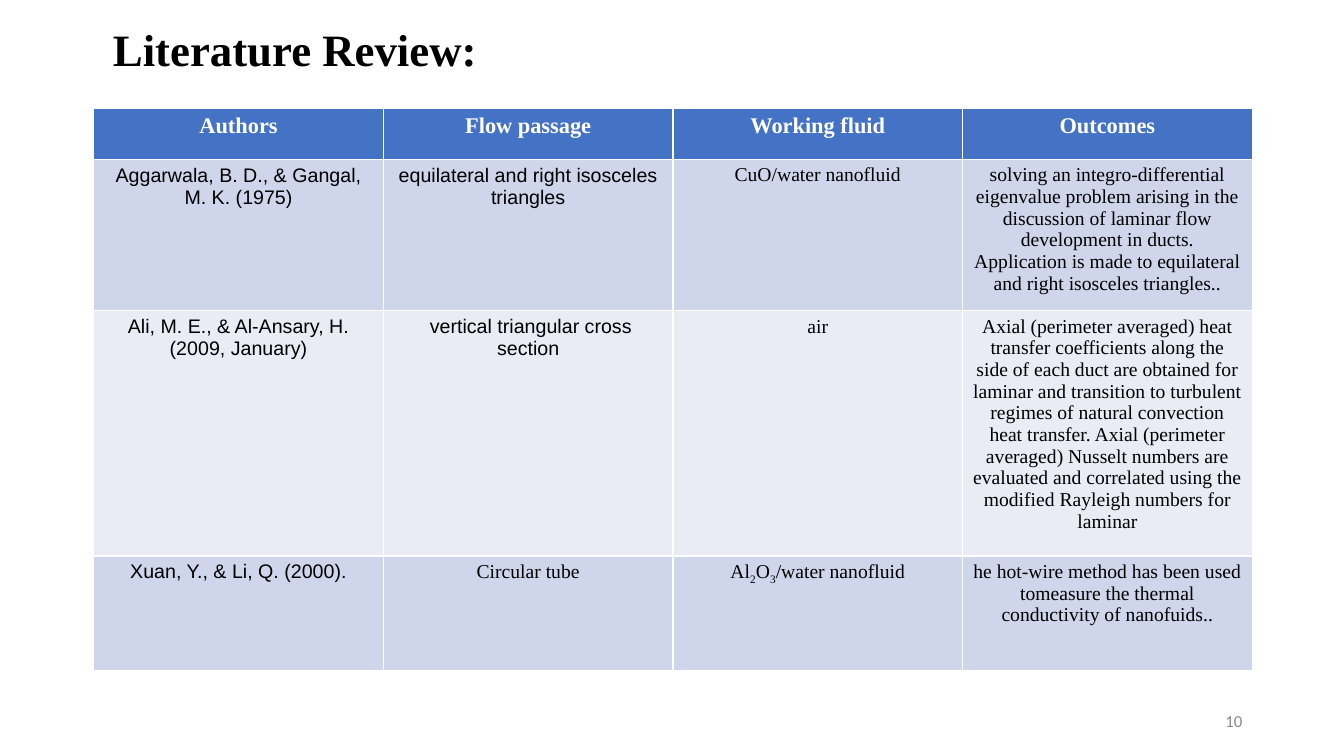
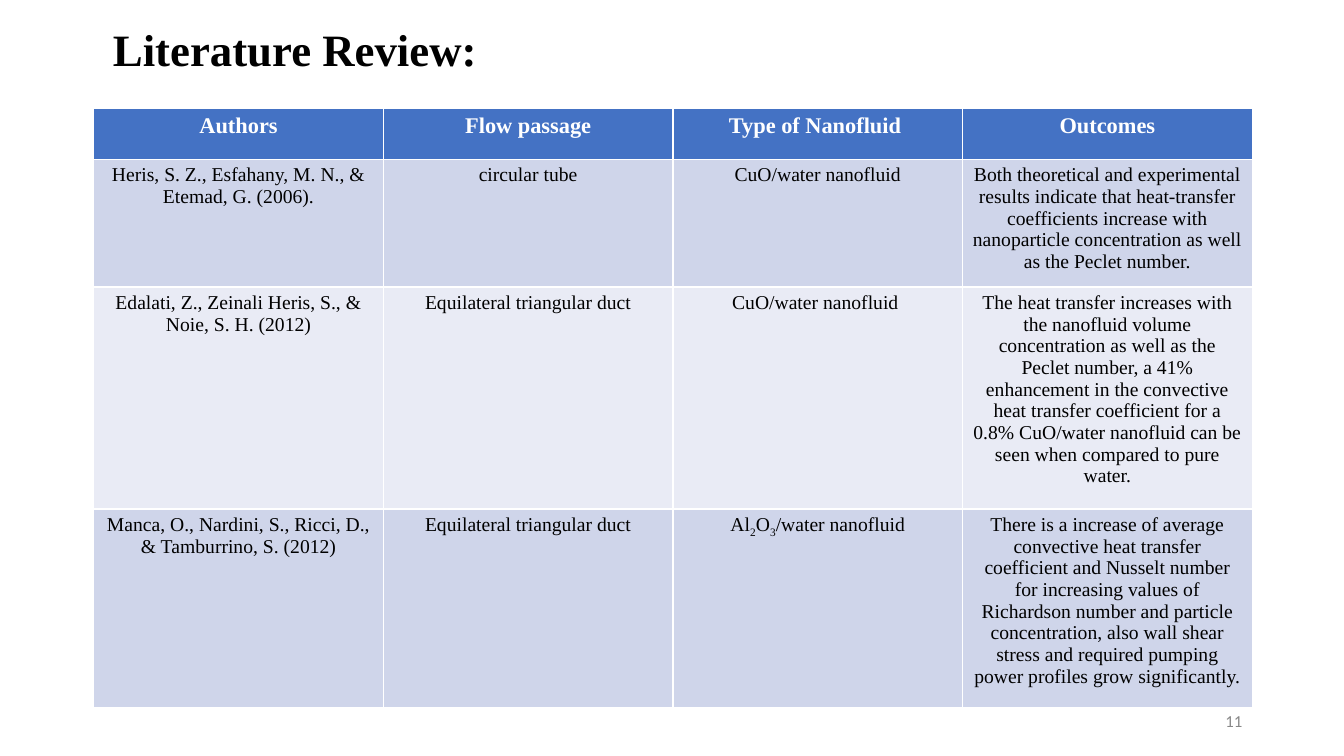
from pptx import Presentation
from pptx import util as u
from pptx.dml.color import RGBColor
from pptx.enum import text

WIDTH, HEIGHT = u.Inches(13.33), u.Inches(7.5)
SERIF, SANS = "Times New Roman", "Arial"
BLACK, WHITE, GRAY, BLUE = "000000", "FFFFFF", "888888", "4472C4"
BANDS = ["CFD5EA", "E9EBF5"]
COLUMNS = 4
HEADER_HEIGHT, ROW_HEIGHT = u.Inches(0.5), u.Inches(1.14)
ALUMINA = "Al_2_O_3_/water nanofluid"

# Each review: slide number, cells set in the sans font, table rows.
# Underscores enclose subscripts.
reviews = [
    (10, {(1, 0), (1, 1), (2, 0), (2, 1), (3, 0)}, [
        ["Authors", "Flow passage", "Working fluid", "Outcomes"],
        ["Aggarwala, B. D., & Gangal, M. K. (1975)",
         "equilateral and right isosceles triangles",
         "CuO/water nanofluid",
         "solving an integro-differential eigenvalue problem arising in the "
         "discussion of laminar flow development in ducts. Application is made "
         "to equilateral and right isosceles triangles.."],
        ["Ali, M. E., & Al-Ansary, H. (2009, January)",
         " vertical triangular cross section",
         "air",
         "Axial (perimeter averaged) heat transfer coefficients along the side "
         "of each duct are obtained for laminar and transition to turbulent "
         "regimes of natural convection heat transfer. Axial (perimeter "
         "averaged) Nusselt numbers are evaluated and correlated using the "
         "modified Rayleigh numbers for laminar"],
        ["Xuan, Y., & Li, Q. (2000).",
         "Circular tube",
         ALUMINA,
         "he hot-wire method has been used tomeasure the thermal conductivity "
         "of nanofuids.."],
    ]),
    (11, set(), [
        ["Authors", "Flow passage", "Type of Nanofluid ", "Outcomes"],
        ["Heris, S. Z., Esfahany, M. N., & Etemad, G. (2006).",
         "circular tube",
         "CuO/water nanofluid",
         "Both theoretical and experimental results indicate that heat-transfer "
         "coefficients increase with nanoparticle concentration as well as the "
         "Peclet number."],
        ["Edalati, Z., Zeinali Heris, S., & Noie, S. H. (2012)",
         "Equilateral triangular duct",
         "CuO/water nanofluid ",
         "The heat transfer increases with the nanofluid volume concentration "
         "as well as the Peclet number, a 41% enhancement in the convective "
         "heat transfer coefficient for a 0.8% CuO/water nanofluid can be seen "
         "when compared to pure water."],
        ["Manca, O., Nardini, S., Ricci, D., & Tamburrino, S. (2012)",
         "Equilateral triangular duct",
         ALUMINA,
         "There is a increase of average convective heat transfer coefficient "
         "and Nusselt number for increasing values of Richardson number and "
         "particle concentration, also wall shear stress and required pumping "
         "power profiles grow significantly."],
    ]),
]


def color(hex_string):
    return RGBColor.from_string(hex_string)


def write(paragraph, content, size, font_name, hex_string, alignment, bold=False):
    """Fill a paragraph, lowering the parts enclosed in underscores."""
    for index, part in enumerate(content.split("_")):
        run = paragraph.add_run()
        run.text = part
        if index % 2:
            run._r.get_or_add_rPr().set("baseline", "-25000")
    paragraph.alignment = alignment
    font = paragraph.font
    font.size, font.name, font.bold = u.Pt(size), font_name, bold
    font.color.rgb = color(hex_string)


presentation = Presentation()
presentation.slide_width, presentation.slide_height = WIDTH, HEIGHT
layout = presentation.slide_layouts.get_by_name("Title Only")
layout_title = layout.placeholders[0]
layout_title.left, layout_title.top = u.Inches(1.02), u.Inches(0.25)
layout_title.width, layout_title.height = u.Inches(10.78), u.Inches(0.53)

for number, sans_cells, rows in reviews:
    slide = presentation.slides.add_slide(layout)

    title_frame = slide.shapes.title.text_frame
    title_frame.auto_size = text.MSO_AUTO_SIZE.NONE
    title_frame.vertical_anchor = text.MSO_ANCHOR.MIDDLE
    title = title_frame.paragraphs[0]
    title.line_spacing = 0.9
    write(title, "Literature Review:", 32, SERIF, BLACK, text.PP_ALIGN.LEFT, True)

    number_frame = slide.shapes.add_textbox(
        u.Inches(9.42), u.Inches(6.95), u.Inches(3), u.Inches(0.4)).text_frame
    number_frame.word_wrap = True
    number_frame.vertical_anchor = text.MSO_ANCHOR.MIDDLE
    write(number_frame.paragraphs[0], str(number), 12, "Calibri", GRAY,
          text.PP_ALIGN.RIGHT)

    table = slide.shapes.add_table(
        len(rows), COLUMNS, u.Inches(0.93), u.Inches(1.08), u.Inches(11.49),
        HEADER_HEIGHT + ROW_HEIGHT * (len(rows) - 1)).table
    for row_index, row in enumerate(rows):
        is_header = row_index == 0
        table.rows[row_index].height = HEADER_HEIGHT if is_header else ROW_HEIGHT
        for column_index, content in enumerate(row):
            cell = table.cell(row_index, column_index)
            cell.fill.solid()
            cell.fill.fore_color.rgb = color(
                BLUE if is_header else BANDS[(row_index - 1) % 2])
            write(cell.text_frame.paragraphs[0], content,
                  16 if is_header else 14,
                  SANS if (row_index, column_index) in sans_cells else SERIF,
                  WHITE if is_header else BLACK,
                  text.PP_ALIGN.CENTER, is_header)

presentation.save("out.pptx")
